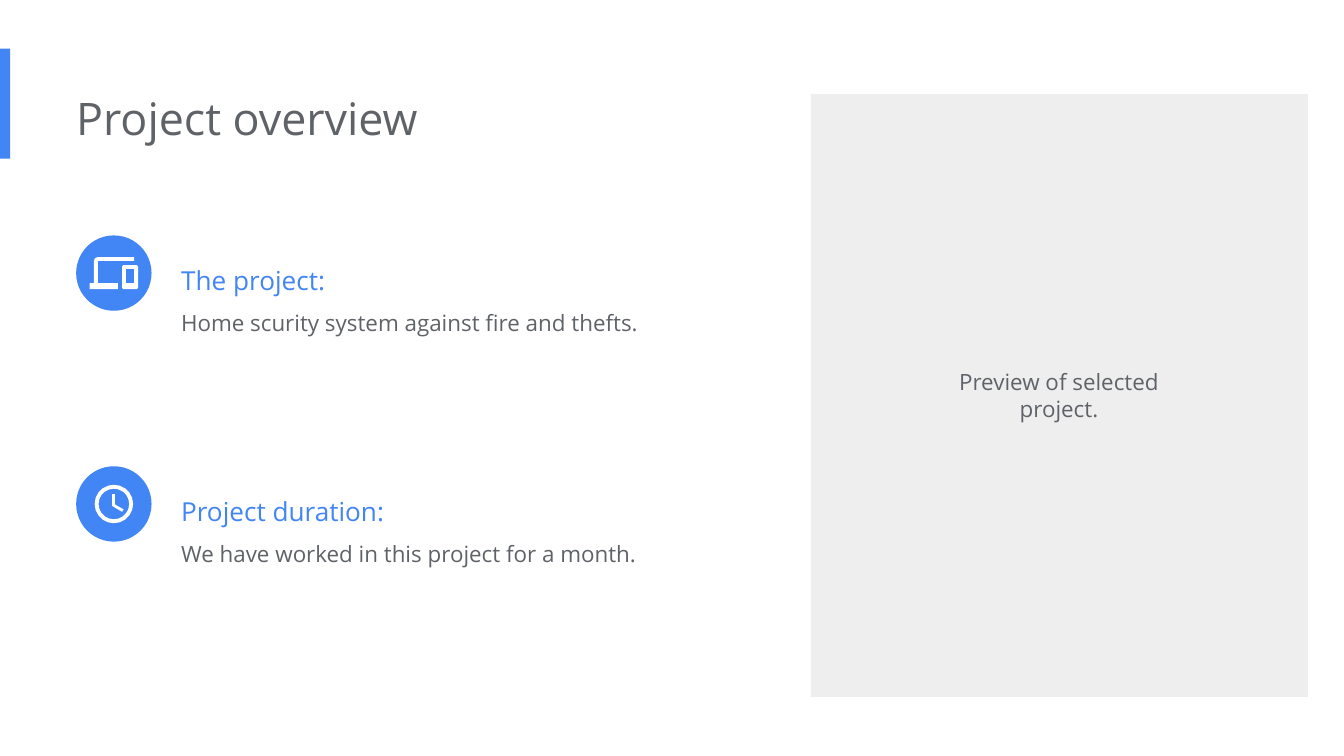
from dataclasses import dataclass
from math import cos, radians, sin

from lxml.etree import SubElement
from pptx import Presentation
from pptx.dml.color import RGBColor
from pptx.enum.shapes import MSO_SHAPE
from pptx.enum.text import MSO_ANCHOR, MSO_AUTO_SIZE, PP_ALIGN
from pptx.oxml.ns import qn
from pptx.util import Pt

FONT = "Open Sans"
BLUE, GRAY, PANEL, WHITE = "4285F4", "5F6368", "EEEEEE", "FFFFFF"
LEFT = 40.8
BADGE_SIZE = 40.4
TEXT_LEFT = 97

Point = tuple[float, float]
Contour = list[Point]


@dataclass
class Topic:
    heading: str
    detail: str
    top: float
    width: float
    icon: list[Contour]


def color(value: str) -> RGBColor:
    return RGBColor.from_string(value)


def paint(shape, fill: str) -> None:
    shape.shadow.inherit = False
    shape.fill.solid()
    shape.fill.fore_color.rgb = color(fill)
    shape.line.fill.background()


def add_filled(slide, kind, left: float, top: float, width: float, height: float, fill: str) -> None:
    shape = slide.shapes.add_shape(kind, Pt(left), Pt(top), Pt(width), Pt(height))
    paint(shape, fill)


def place(shape, left: float, top: float, width: float, height: float, inset: float = 0) -> None:
    """Position a text shape and set its frame; inset is the left margin."""
    shape.left, shape.top, shape.width, shape.height = Pt(left), Pt(top), Pt(width), Pt(height)
    frame = shape.text_frame
    frame.word_wrap = True
    frame.auto_size = MSO_AUTO_SIZE.NONE
    frame.vertical_anchor = MSO_ANCHOR.TOP
    frame.margin_left = Pt(inset)
    frame.margin_top = frame.margin_right = frame.margin_bottom = Pt(7.2)


def style(paragraph, size: float, ink: str, align=PP_ALIGN.LEFT, spacing: float = 1.0) -> None:
    paragraph.alignment = align
    paragraph.line_spacing = spacing
    paragraph.space_before = Pt(0)
    for run in paragraph.runs:
        run.font.name = FONT
        run.font.size = Pt(size)
        run.font.color.rgb = color(ink)


def remove_bullet(paragraph) -> None:
    properties = paragraph._p.get_or_add_pPr()
    properties.set("marL", "0")
    properties.set("indent", "0")
    SubElement(properties, qn("a:buNone"))


def circle(radius: float, direction: int, count: int = 20) -> Contour:
    """Points around the icon's centre; direction is 1 or -1."""
    angles = [radians(direction * 360 * i / count) for i in range(count)]
    return [(radius * cos(angle), radius * sin(angle)) for angle in angles]


def beveled_box(left: float, top: float, right: float, bottom: float, cut: float) -> Contour:
    return [(left, top + cut), (left + cut, top), (right - cut, top), (right, top + cut),
            (right, bottom - cut), (right - cut, bottom), (left + cut, bottom), (left, bottom - cut)]


def add_icon(slide, center_x: float, center_y: float, contours: list[Contour]) -> None:
    builder = None
    for contour in contours:
        points = [(Pt(center_x + x), Pt(center_y + y)) for x, y in contour]
        if builder is None:
            builder = slide.shapes.build_freeform(*points[0])
        else:
            builder.move_to(*points[0])
        builder.add_line_segments(points[1:], close=True)
    paint(builder.convert_to_shape(), WHITE)


def add_topic(slide, placeholder, topic: Topic) -> None:
    place(placeholder, TEXT_LEFT, topic.top, topic.width, 62)
    frame = placeholder.text_frame
    frame.text = f"{topic.heading}\n{topic.detail}"
    for paragraph, size, ink in zip(frame.paragraphs, (14, 12), (BLUE, GRAY)):
        style(paragraph, size, ink, spacing=1.5)
        remove_bullet(paragraph)
    add_filled(slide, MSO_SHAPE.OVAL, LEFT, topic.top, BADGE_SIZE, BADGE_SIZE, BLUE)
    add_icon(slide, LEFT + BADGE_SIZE / 2, topic.top + BADGE_SIZE / 2, topic.icon)


LAPTOP = [
    (-10.7, -6.5), (-10.1, -8), (-8.6, -8.6), (10.9, -8.6), (10.9, -6.5), (-8.6, -6.5),
    (-8.6, 5.4), (2.2, 5.4), (2.2, 8.6), (-13, 8.6), (-13, 5.4), (-10.7, 5.4)]
PHONE = beveled_box(4.4, -4.3, 13, 8.6, 0.7)
PHONE_SCREEN = [(6.5, -2.2), (6.5, 5.4), (10.9, 5.4), (10.9, -2.2)]
CLOCK_RIM = circle(10.3, 1)
CLOCK_FACE = circle(8.2, -1)
CLOCK_HANDS = [(-1, -5.2), (-1, 1), (4.4, 4.2), (5.2, 2.9), (0.5, 0.2), (0.5, -5.2)]

TOPICS = [
    Topic("The project:", "Home scurity system against fire and thefts.", 126.1, 322,
          [LAPTOP, PHONE, PHONE_SCREEN]),
    Topic("Project duration:", "We have worked in this project for a month.", 249.8, 271.5,
          [CLOCK_RIM, CLOCK_FACE, CLOCK_HANDS]),
]


def main() -> None:
    presentation = Presentation()
    presentation.slide_width, presentation.slide_height = Pt(720), Pt(405)
    slide = presentation.slides.add_slide(presentation.slide_layouts.get_by_name("Two Content"))
    title, *bodies = slide.placeholders

    add_filled(slide, MSO_SHAPE.RECTANGLE, 0, 26, 5.5, 59, BLUE)
    add_filled(slide, MSO_SHAPE.RECTANGLE, 434.4, 50.4, 266.3, 323, PANEL)

    place(title, LEFT, 41.4, 484.5, 44)
    title.text_frame.text = "Project overview"
    style(title.text_frame.paragraphs[0], 24, GRAY)

    for body, topic in zip(bodies, TOPICS):
        add_topic(slide, body, topic)

    caption = slide.shapes.add_textbox(0, 0, 0, 0)
    place(caption, 496, 190, 142.6, 44, inset=7.2)
    caption.text_frame.text = "Preview of selected project."
    style(caption.text_frame.paragraphs[0], 12, GRAY, PP_ALIGN.CENTER)

    presentation.save("out.pptx")


if __name__ == "__main__":
    main()
